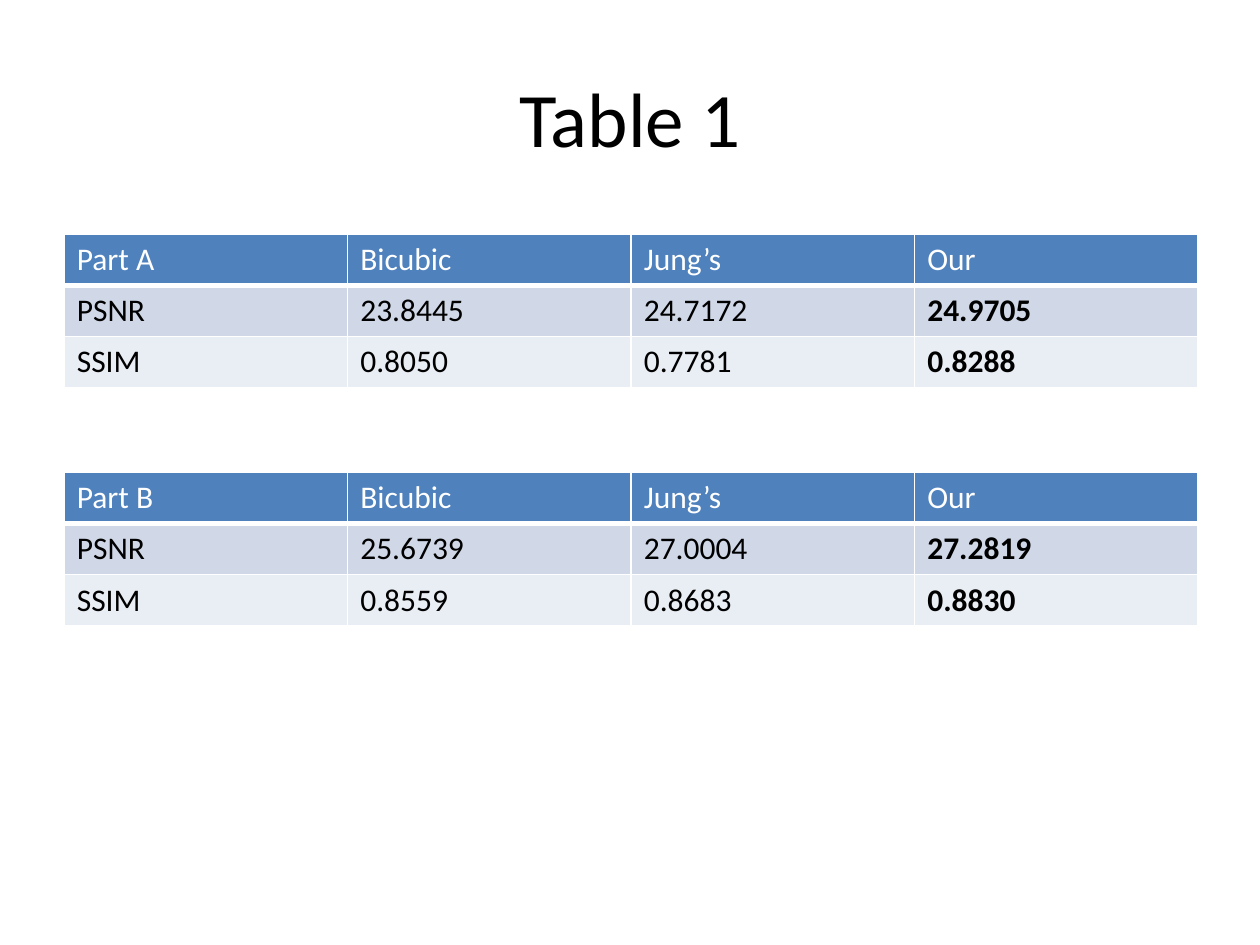
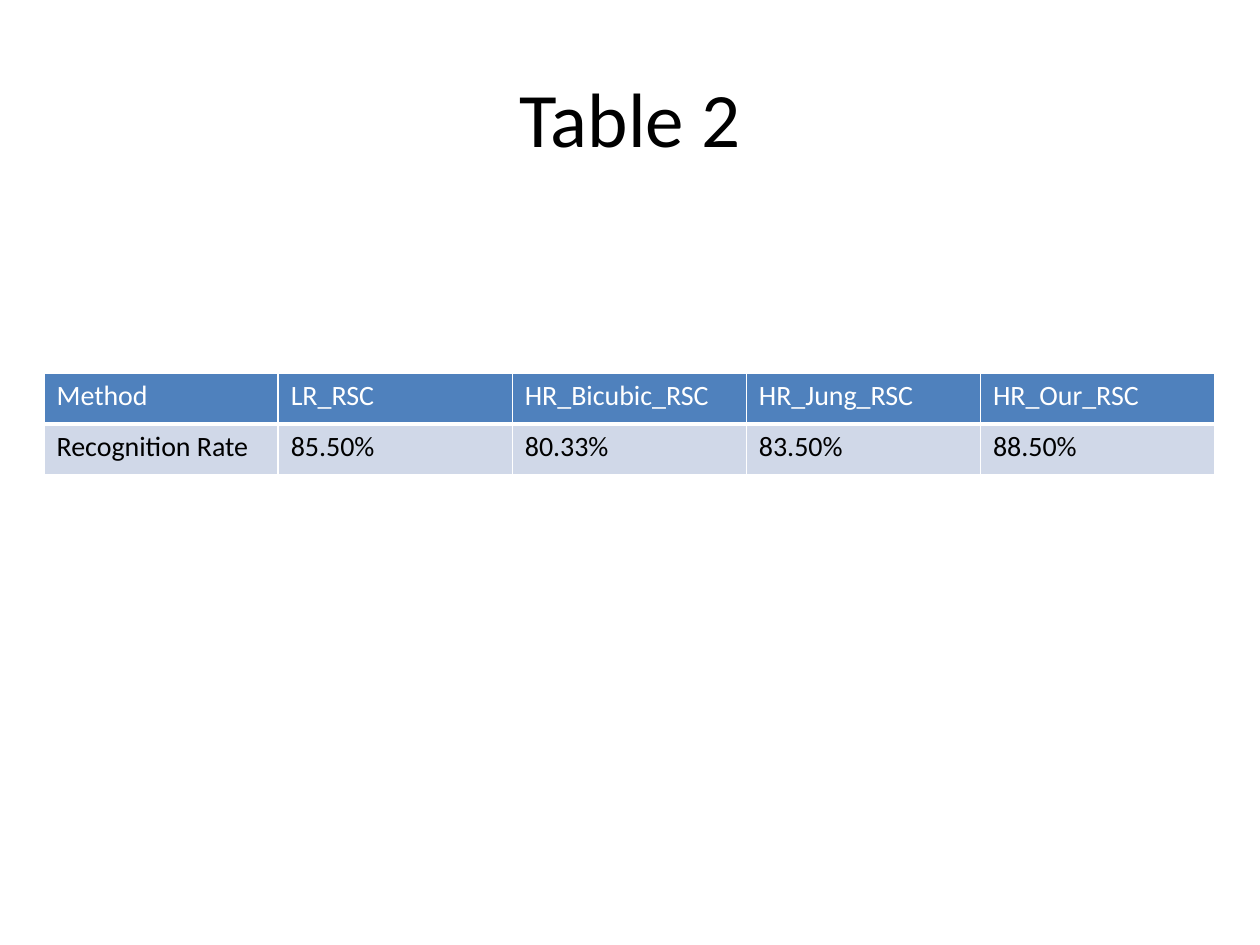
from pptx import Presentation
from pptx.dml.color import RGBColor
from pptx.enum.text import MSO_ANCHOR, PP_ALIGN
from pptx.oxml.ns import qn
from pptx.util import Inches, Pt
from lxml.etree import SubElement

COLORS = {
    "text": "000000",
    "white": "FFFFFF",
    "header": "4F81BD",
    "band_dark": "D0D8E8",
    "band_light": "E9EDF4",
}
FONT = "Calibri"
ROW_HEIGHT = 0.405


def write(tf, text, size=18, color="text", bold=False, align=PP_ALIGN.LEFT):
    p = tf.paragraphs[0]
    p.alignment = align
    r = p.add_run()
    r.text = text
    r.font.name = FONT
    r.font.size = Pt(size)
    r.font.bold = bold
    r.font.color.rgb = RGBColor.from_string(COLORS[color])


def draw_table(s, rows, left, top, width, size=18, bold_last=False):
    n_cols = len(rows[0])
    frame = s.shapes.add_table(len(rows), n_cols, Inches(left), Inches(top),
                               Inches(width), Inches(ROW_HEIGHT * len(rows)))
    table = frame.table
    for i, row in enumerate(rows):
        is_header = i == 0
        fill = "header" if is_header else ("band_dark" if i % 2 else "band_light")
        for j, text in enumerate(row):
            cell = table.cell(i, j)
            write(cell.text_frame, text, size=size,
                  color="white" if is_header else "text",
                  bold=bold_last and not is_header and j == n_cols - 1)
            # White borders, heavier under the header
            tc_pr = cell._tc.get_or_add_tcPr()
            for side in ("lnL", "lnR", "lnT", "lnB"):
                weight = 3 if is_header and side == "lnB" else 1
                ln = SubElement(tc_pr, qn(f"a:{side}"), w=str(Pt(weight)))
                line_fill = SubElement(ln, qn("a:solidFill"))
                SubElement(line_fill, qn("a:srgbClr"), val=COLORS["white"])
            cell.fill.solid()
            cell.fill.fore_color.rgb = RGBColor.from_string(COLORS[fill])


prs = Presentation()
prs.slide_width, prs.slide_height = Inches(10), Inches(7.5)

# Slides with their shared title style
slides = []
for title in ("Table 1", "Table 2"):
    s = prs.slides.add_slide(prs.slide_layouts[5])
    sp = s.shapes.title
    sp.left, sp.top = Inches(0.5), Inches(0.3)
    sp.width, sp.height = Inches(9), Inches(1.25)
    sp.text_frame.vertical_anchor = MSO_ANCHOR.MIDDLE
    write(sp.text_frame, title, size=44, align=PP_ALIGN.CENTER)
    slides.append(s)

# Table 1: image quality, one table per part
quality = [
    ("Part A", 1.86, ["23.8445", "24.7172", "24.9705"], ["0.8050", "0.7781", "0.8288"]),
    ("Part B", 3.75, ["25.6739", "27.0004", "27.2819"], ["0.8559", "0.8683", "0.8830"]),
]
for part, top, psnr, ssim in quality:
    rows = [[part, "Bicubic", "Jung’s", "Our"], ["PSNR", *psnr], ["SSIM", *ssim]]
    draw_table(slides[0], rows, 0.51, top, 9, bold_last=True)

# Table 2: recognition rates
recognition = [
    ["Method", "LR_RSC", "HR_Bicubic_RSC", "HR_Jung_RSC", "HR_Our_RSC"],
    ["Recognition Rate", "85.50%", "80.33%", "83.50%", "88.50%"],
]
draw_table(slides[1], recognition, 0.35, 2.96, 9.29, size=16)

prs.save("out.pptx")
